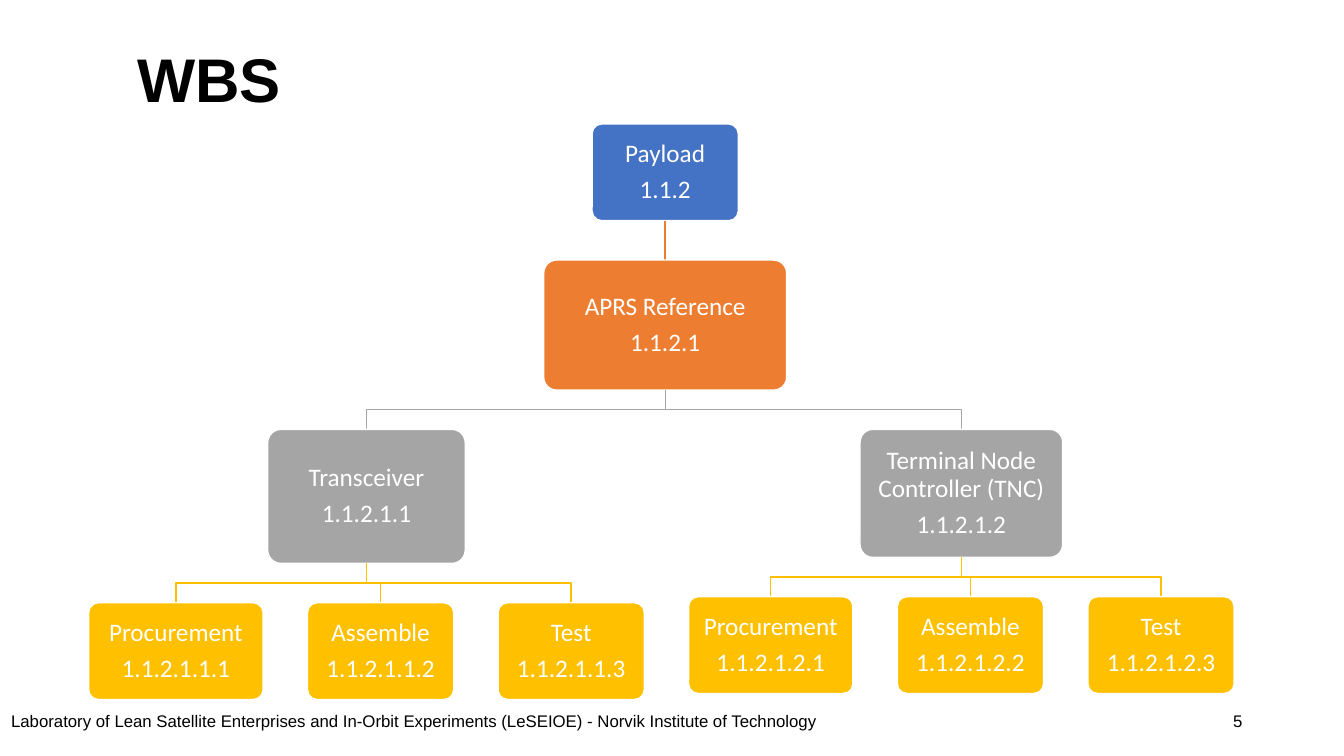
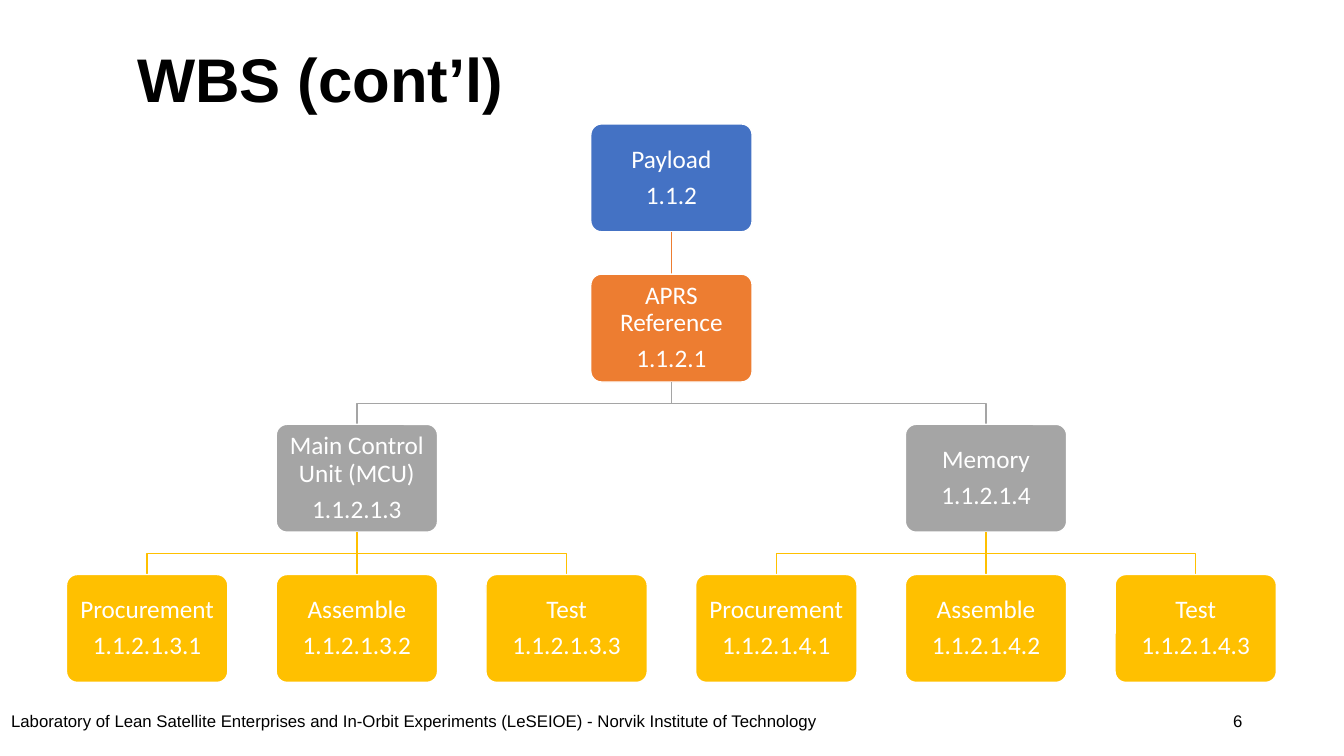
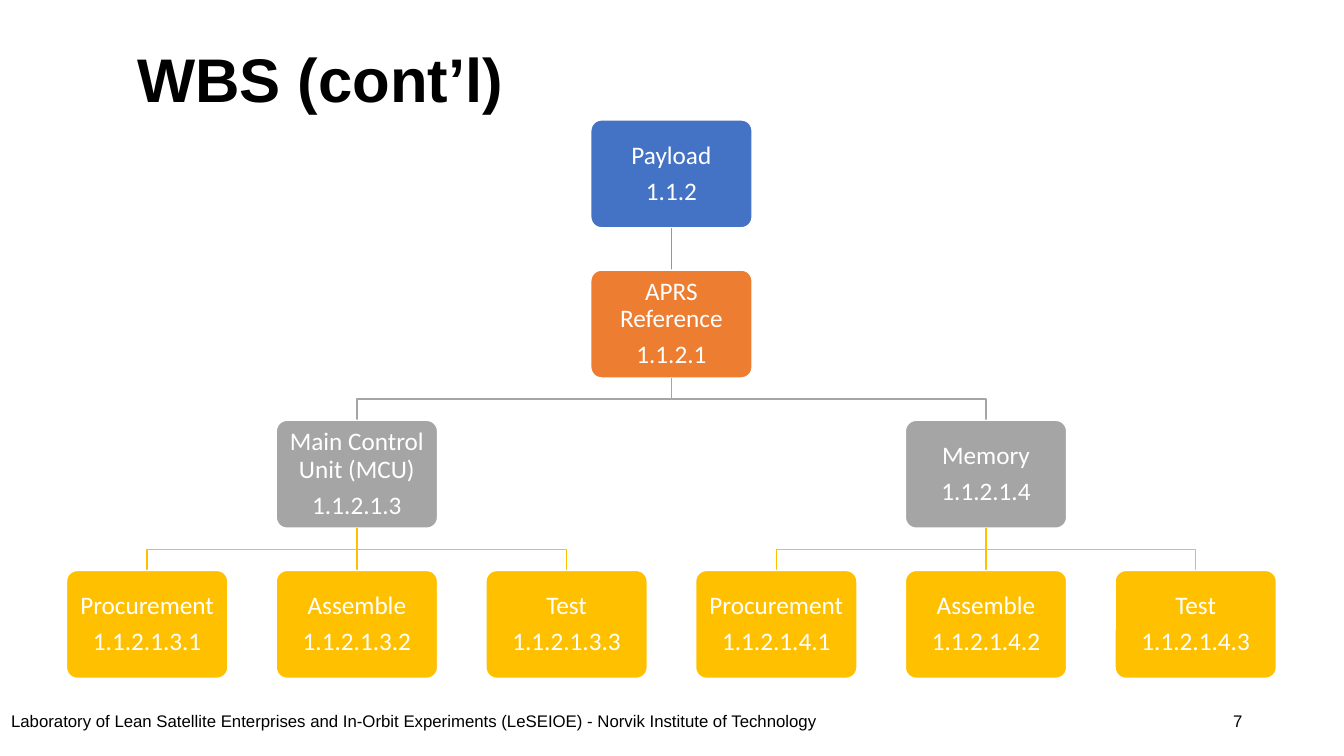
from dataclasses import dataclass, field

from pptx import Presentation
from pptx.dml.color import RGBColor
from pptx.enum import shapes, text
from pptx.oxml.ns import qn
from pptx.util import Inches, Pt
from lxml import etree

COLOURS = {"ink": "000000", "paper": "FFFFFF", "payload": "4472C4",
           "system": "ED7D31", "unit": "A5A5A5", "task": "FFC000"}
LEVELS = ["payload", "system", "unit", "task"]
FOOTER = ("Laboratory of Lean Satellite Enterprises and In-Orbit Experiments "
          "(LeSEIOE) - Norvik Institute of Technology")
FIRST_PAGE = 5


@dataclass
class Work:
    """One work package; lengths are in inches."""
    name: str
    code: str
    width: float
    height: float
    children: list = field(default_factory=list)
    left: float = 0
    top: float = 0

    @property
    def centre(self):
        return self.left + self.width / 2

    @property
    def bottom(self):
        return self.top + self.height

    def place(self, left, top, leaf_gap, row_gap):
        """Set leaves side by side and parents midway over their children.

        Returns the left edge for the next leaf.
        """
        self.left, self.top = left, top
        if not self.children:
            return left + self.width + leaf_gap
        for child in self.children:
            left = child.place(left, self.bottom + row_gap, leaf_gap, row_gap)
        first, last = self.children[0], self.children[-1]
        self.left = (first.left + last.left + last.width - self.width) / 2
        return left


class Deck:
    def __init__(self):
        self.prs = Presentation()
        self.prs.slide_width, self.prs.slide_height = Inches(13.33), Inches(7.5)
        self.slide = None

    def colour(self, name):
        return RGBColor.from_string(COLOURS[name])

    def style(self, paragraph, font, size, colour, align, bold=False):
        paragraph.alignment = align
        paragraph.font.name, paragraph.font.size = font, Pt(size)
        paragraph.font.bold = bold
        paragraph.font.color.rgb = self.colour(colour)

    def page(self, title, number):
        self.slide = self.prs.slides.add_slide(self.prs.slide_layouts[5])
        heading = self.slide.shapes.title
        heading.left, heading.top = Inches(1.26), Inches(0.4)
        heading.width, heading.height = Inches(11.16), Inches(0.83)
        heading.text_frame.text = title
        heading.text_frame.vertical_anchor = text.MSO_ANCHOR.MIDDLE
        line = heading.text_frame.paragraphs[0]
        line.line_spacing = 0.9
        self.style(line, "Arial", 44, "ink", text.PP_ALIGN.LEFT, bold=True)

        # Footer and page number
        footer = self.label(FOOTER, 0.11, 7.02, 8.16, 0.23, text.PP_ALIGN.LEFT)
        footer.margin_left = footer.margin_right = footer.margin_bottom = 0
        footer.margin_top = Inches(0.03)
        footer.vertical_anchor = text.MSO_ANCHOR.TOP
        footer.paragraphs[0].space_before = Pt(1.9)
        self.label(str(number), 9.42, 6.95, 3, 0.4, text.PP_ALIGN.RIGHT)

    def label(self, words, left, top, width, height, align):
        frame = self.slide.shapes.add_textbox(
            Inches(left), Inches(top), Inches(width), Inches(height)).text_frame
        frame.word_wrap = True
        frame.vertical_anchor = text.MSO_ANCHOR.MIDDLE
        frame.text = words
        self.style(frame.paragraphs[0], "Arial", 12, "ink", align)
        return frame

    def box(self, work, level):
        card = self.slide.shapes.add_shape(
            shapes.MSO_SHAPE.ROUNDED_RECTANGLE, Inches(work.left),
            Inches(work.top), Inches(work.width), Inches(work.height))
        card.adjustments[0] = 0.1
        card.shadow.inherit = False
        card.fill.solid()
        card.fill.fore_color.rgb = self.colour(level)
        card.line.color.rgb = self.colour("paper")
        card.line.width = Pt(1)
        frame = card.text_frame
        frame.word_wrap = True
        frame.vertical_anchor = text.MSO_ANCHOR.MIDDLE
        frame.margin_left = frame.margin_right = Inches(0.07)
        frame.margin_top = frame.margin_bottom = Inches(0.07)
        frame.text = f"{work.name}\n{work.code}"
        for line in frame.paragraphs:
            line.line_spacing, line.space_after = 0.9, Pt(6.3)
            self.style(line, "Calibri", 18, "paper", text.PP_ALIGN.CENTER)

    def branch(self, parent, child, level):
        start = Inches(parent.centre), Inches(parent.bottom)
        end = Inches(child.centre), Inches(child.top)
        if abs(parent.centre - child.centre) < 0.02:
            link = self.slide.shapes.add_connector(
                shapes.MSO_CONNECTOR.STRAIGHT, *start, start[0], end[1])
            etree.SubElement(link._element.spPr, qn("a:effectLst"))
        else:
            middle = (start[1] + end[1]) // 2
            outline = self.slide.shapes.build_freeform(*start)
            outline.add_line_segments(
                [(start[0], middle), (end[0], middle), end], close=False)
            link = outline.convert_to_shape()
            link.fill.background()
            link.shadow.inherit = False
        link.line.color.rgb = self.colour(level)
        link.line.width = Pt(1)

    def tree(self, work, depth=0):
        self.box(work, LEVELS[depth])
        for child in work.children:
            self.branch(work, child, LEVELS[depth + 1])
            self.tree(child, depth + 1)


def tasks(unit_code, widths, height):
    names = ["Procurement", "Assemble", "Test"]
    return [Work(name, f"{unit_code}.{i}", width, height)
            for i, (name, width) in enumerate(zip(names, widths), 1)]


def radio_tree():
    height = 0.96
    units = [
        Work("Transceiver", "1.1.2.1.1", 1.96, 1.33,
             tasks("1.1.2.1.1", [1.73, 1.45, 1.45], height)),
        Work("Terminal Node Controller (TNC)", "1.1.2.1.2", 2.01, 1.27,
             tasks("1.1.2.1.2", [1.63, 1.45, 1.45], height)),
    ]
    system = Work("APRS Reference", "1.1.2.1", 2.41, 1.29, units)
    payload = Work("Payload", "1.1.2", 1.45, height, [system])
    payload.place(0.88, 1.23, leaf_gap=0.44, row_gap=0.39)
    return payload


def computer_tree(top):
    size = 1.6, 1.07
    units = [Work(name, code, *size, tasks(code, [size[0]] * 3, size[1]))
             for name, code in [("Main Control Unit (MCU)", "1.1.2.1.3"),
                                ("Memory", "1.1.2.1.4")]]
    system = Work("APRS Reference", "1.1.2.1", *size, units)
    payload = Work("Payload", "1.1.2", *size, [system])
    payload.place(0.66, top, leaf_gap=0.48, row_gap=0.42)
    return payload


def main():
    deck = Deck()
    pages = [("WBS", radio_tree()),
             ("WBS (cont’l)", computer_tree(1.23)),
             ("WBS (cont’l)", computer_tree(1.19))]
    for number, (title, payload) in enumerate(pages, FIRST_PAGE):
        deck.page(title, number)
        deck.tree(payload)
    deck.prs.save("out.pptx")


if __name__ == "__main__":
    main()
